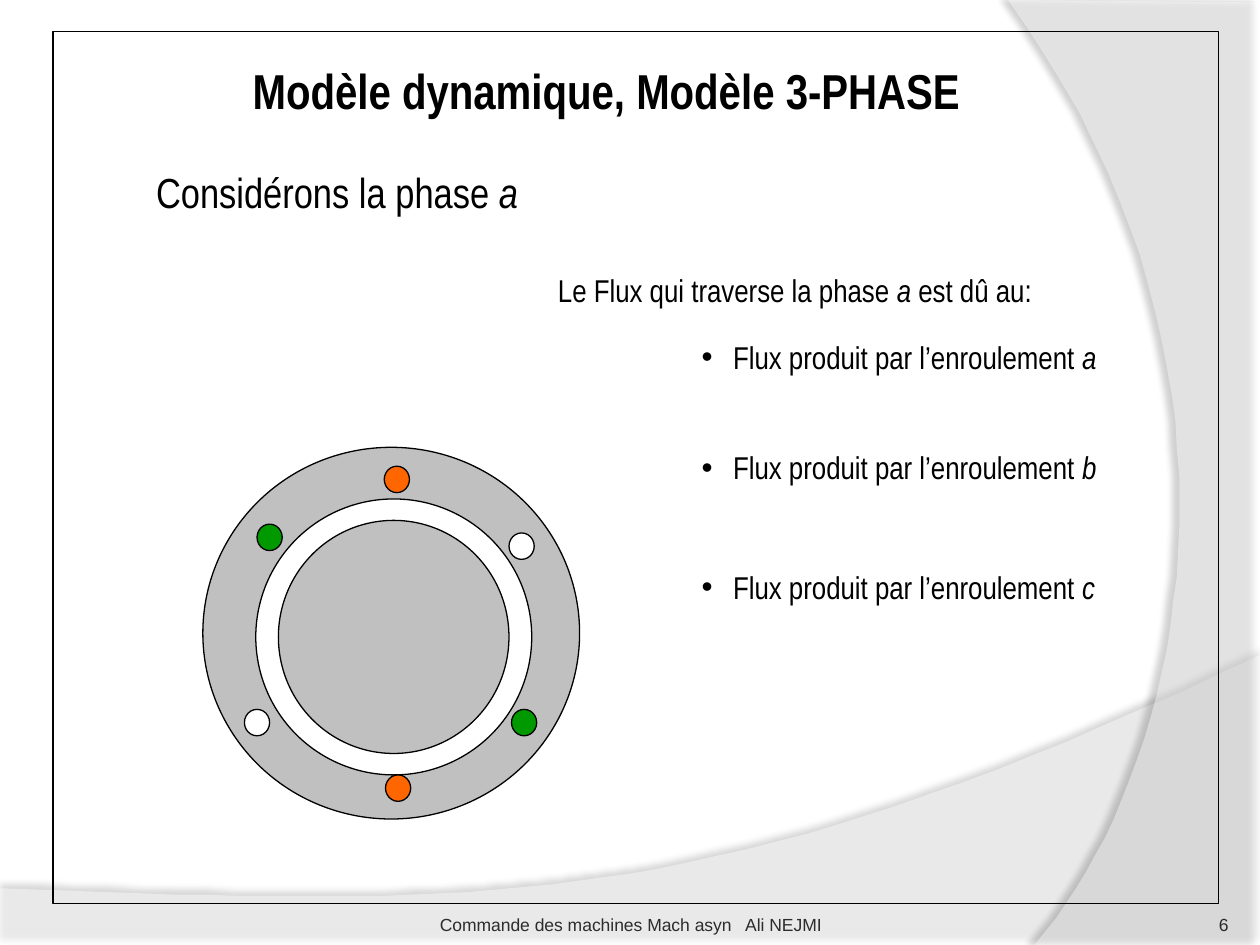
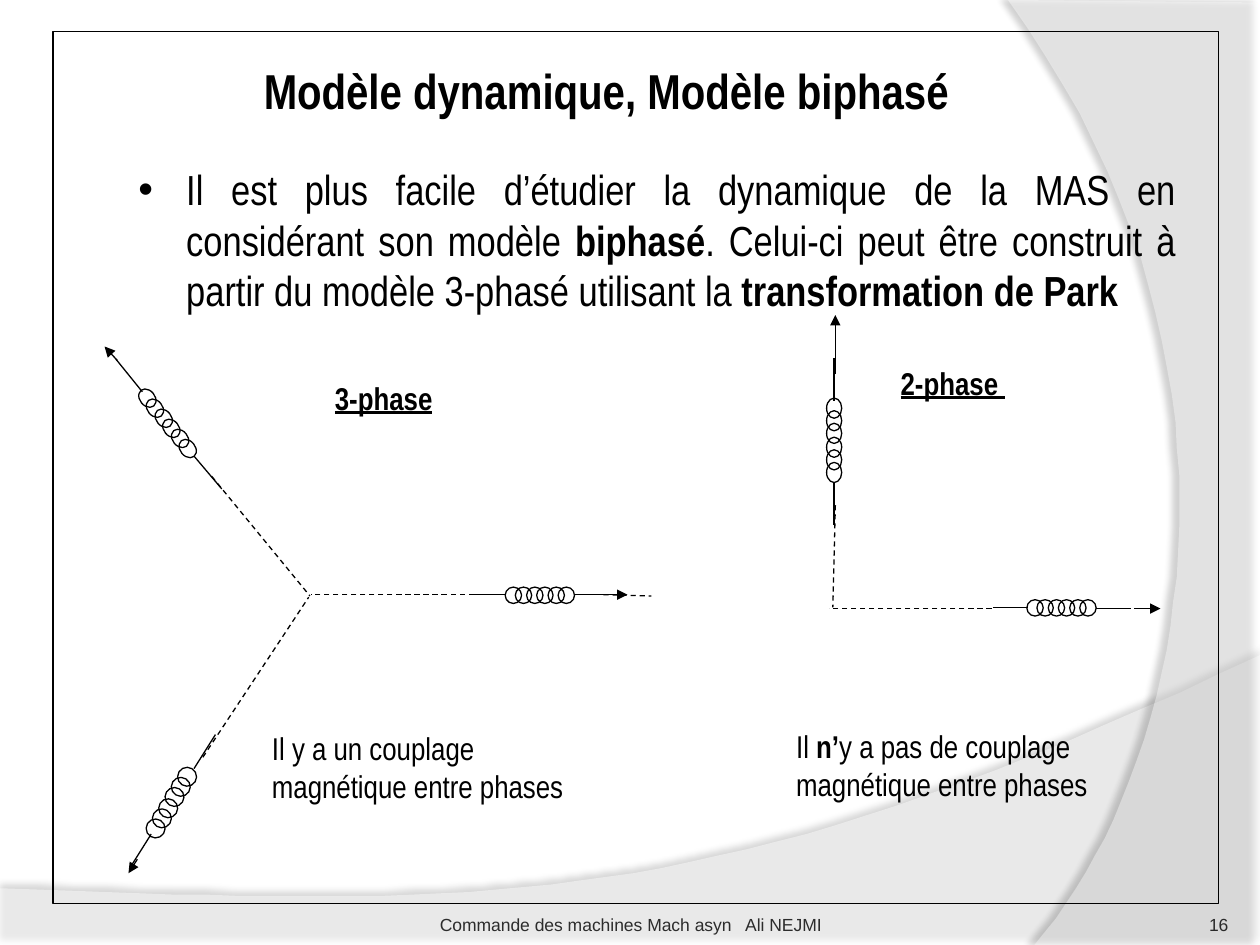
from pptx import Presentation
from pptx import util as u
from pptx.dml.color import RGBColor
from pptx.enum import dml, shapes, text
from pptx.oxml import parse_xml
from pptx.oxml.ns import nsdecls, qn

PX = 9144
HUES = {"ink": "000000", "white": "FFFFFF", "grey": "C0C0C0", "orange": "FF6600",
        "green": "009900", "foot": "2C2C2C", "num": "292929"}
NS = nsdecls("a")
ALIGN = text.PP_ALIGN
KIND = shapes.MSO_SHAPE
BOLD, SLANT = {"bold": True}, {"italic": True}
UNDER = {"bold": True, "underline": True}


def draw(host, kind, box, fill=None, turn=0):
    item = host.shapes.add_shape(kind, *[n * PX for n in box])
    item.shadow.inherit = False
    item.rotation = turn
    if fill:
        item.fill.solid()
        item.fill.fore_color.rgb = RGBColor.from_string(HUES[fill])
    else:
        item.fill.background()
    item.line.color.rgb = RGBColor.from_string(HUES["ink"])
    item.line.width = u.Pt(0.75)


def write(slide, box, runs, size=18, align=ALIGN.LEFT, dent=0, hue="ink",
          face="Arial Narrow", shape=None, frame=None):
    item = shape or slide.shapes.add_textbox(0, 0, 0, 0)
    for name, n in zip(("left", "top", "width", "height"), box):
        setattr(item, name, n * PX)
    body = item.text_frame
    look = {"word_wrap": True, "auto_size": text.MSO_AUTO_SIZE.NONE,
            "vertical_anchor": text.MSO_ANCHOR.TOP, **(frame or {})}
    for name, val in look.items():
        setattr(body, name, val)
    para = body.paragraphs[0]
    para.alignment = align
    if dent:
        props = para._p.get_or_add_pPr()
        props.set("marL", str(dent * PX))
        props.set("indent", str(-dent * PX))
        props.append(parse_xml(f'<a:buFont {NS} typeface="Arial"/>'))
        props.append(parse_xml(f'<a:buChar {NS} char="•"/>'))
    for words, style in runs:
        run = para.add_run()
        run.text = words
        for name, val in {"name": face, "size": u.Pt(size), "bold": False, **style}.items():
            setattr(run.font, name, val)
        run.font.color.rgb = RGBColor.from_string(HUES[hue])


deck = Presentation()
deck.slide_width, deck.slide_height = 1000 * PX, 750 * PX

bands = [
    ([(0, 705), (0, 750), (1000, 750)],
     [(1000, 520), (559, 729), (391, 719), (0, 705)], 45, (35, 3.5, 270)),
    ([(1000, 2), (1000, 750)],
     [(821, 750), (935, 619), (1018, 300), (800, 0)], 40, (45, 4, 180)),
]
foot = {"vertical_anchor": text.MSO_ANCHOR.BOTTOM, "margin_left": 0,
        "margin_right": 0, "margin_bottom": 0}
heads = [("Modèle dynamique, Modèle 3-PHASE", "6"),
         ("Modèle dynamique, Modèle biphasé", "16")]
pages = []

for head, num in heads:
    slide = deck.slides.add_slide(deck.slide_layouts[5])
    pages.append(slide)
    for edge, curve, clear, (dark, dist, way) in bands:
        arc = []
        for k in range(41):
            t = k / 40
            mix = ((1 - t) ** 3, 3 * t * (1 - t) ** 2, 3 * t * t * (1 - t), t ** 3)
            arc.append([sum(m * p[ax] for m, p in zip(mix, curve)) for ax in (0, 1)])
        path = slide.shapes.build_freeform(*edge[0], scale=PX)
        path.add_line_segments(edge[1:] + arc)
        band = path.convert_to_shape()
        band.line.fill.background()
        band.fill.solid()
        band.fill.fore_color.rgb = RGBColor.from_string(HUES["white"])
        band.shadow.inherit = False
        props = band._element.spPr
        tint = props.find(qn("a:solidFill"))[0]
        tint.append(parse_xml(f'<a:alpha {NS} val="{clear * 1000}"/>'))
        props.find(qn("a:effectLst")).append(parse_xml(
            f'<a:outerShdw {NS} blurRad="{u.Pt(4)}" dist="{u.Pt(dist)}" dir="{way * 60000}" '
            f'algn="ctr" rotWithShape="0"><a:srgbClr val="{HUES["ink"]}">'
            f'<a:alpha val="{dark * 1000}"/></a:srgbClr></a:outerShdw>'))
    write(slide, (185, 43, 592, 83), [(head, BOLD)], 28, ALIGN.CENTER,
          shape=slide.shapes.title)
    draw(slide, KIND.RECTANGLE, (42, 25, 925, 692))
    write(slide, (892, 702, 83, 40), [(num, {})], 10, ALIGN.RIGHT,
          hue="num", face="Arial", frame={**foot, "margin_top": 0})
    write(slide, (342, 702, 317, 40), [("Commande des machines Mach asyn   Ali NEJMI", {})],
          10, ALIGN.CENTER, hue="foot", face="Arial", frame=foot)

flux, park = pages

write(flux, (114, 127, 319, 51), [("Considérons la phase ", {}), ("a", SLANT)], 24)
write(flux, (433, 210, 401, 40),
      [("Le Flux qui traverse la phase", {}), (" a", SLANT), (" est dû au:", {})])
for phase, top in zip("abc", (263, 351, 446)):
    write(flux, (547, top, 340, 40),
          [("Flux produit par l’enroulement ", {}), (phase, SLANT)], dent=25)

rings = [((161, 355, 299, 295), "grey"), ((203, 396, 219, 219), "white"),
         ((221, 413, 183, 185), "grey")]
slots = [(305, 370, "orange"), (306, 615, "orange"), (406, 563, "green"),
         (204, 416, "green"), (194, 563, "white"), (404, 423, "white")]
for box, fill in rings + [((x, y, 20, 21), fill) for x, y, fill in slots]:
    draw(flux, KIND.OVAL, box, fill)

write(park, (100, 125, 843, 172), [
    ("Il est plus facile d’étudier la dynamique de la MAS en considérant son modèle ", {}),
    ("biphasé", BOLD),
    (". Celui-ci peut être construit à partir du modèle 3-phasé utilisant la ", {}),
    ("transformation de Park", BOLD)], 24, ALIGN.JUSTIFY, 38)

three = {
    "coils": [((401, 466), (443, 466), (13, 13), 0),
              ((109, 310), (141, 350), (16, 12), 50.9),
              ((116, 650), (141, 609), (15, 15), 302.1)],
    "solid": [(374, 472, 402, 472), (456, 472, 484, 472), (92, 285, 113, 311),
              (154, 362, 176, 388), (103, 689, 120, 662), (154, 610, 171, 583)],
    "dash": [(376, 472, 247, 472), (161, 601, 245, 474), (168, 378, 246, 473),
             (479, 472, 517, 473)],
    "arrow": [(109, 682, 102, 693), (476, 472, 498, 472), (93, 286, 83, 275)],
}
two = {
    "coils": [((815, 476), (857, 476), (13, 13), 0),
              ((654, 318), (654, 369), (16, 12), 90)],
    "solid": [(788, 482, 816, 482), (870, 483, 898, 483), (662, 284, 662, 318),
              (662, 383, 662, 417)],
    "dash": [(787, 483, 658, 483), (663, 401, 661, 482)],
    "arrow": [(900, 483, 921, 483), (663, 297, 663, 250)],
}
for plan in (three, two):
    group = park.shapes.add_group_shape()
    for (x, y), (far, low), size, turn in plan["coils"]:
        for k in range(6):
            spot = (round(x + (far - x) * k / 5), round(y + (low - y) * k / 5))
            draw(group, KIND.OVAL, spot + size, turn=turn)
    for kind in ("solid", "dash", "arrow"):
        for ends in plan[kind]:
            wire = group.shapes.add_connector(shapes.MSO_CONNECTOR.STRAIGHT,
                                              *[n * PX for n in ends])
            wire.line.color.rgb = RGBColor.from_string(HUES["ink"])
            wire.line.width = u.Pt(0.75)
            if kind == "dash":
                wire.line.dash_style = dml.MSO_LINE.DASH
            props = wire._element.spPr
            if kind == "arrow":
                props.find(qn("a:ln")).append(parse_xml(f'<a:tailEnd {NS} type="triangle"/>'))
            props.append(parse_xml(f'<a:effectLst {NS}/>'))

write(park, (256, 296, 100, 40), [("3-phase", UNDER)])
write(park, (705, 284, 110, 40), [("2-phase ", UNDER)])
write(park, (206, 574, 278, 71), [("Il y a un couplage magnétique entre phases", {})])
write(park, (622, 572, 278, 71), [("Il ", {}), ("n’", BOLD),
                                  ("y a pas de couplage magnétique entre phases", {})])

deck.save("out.pptx")
